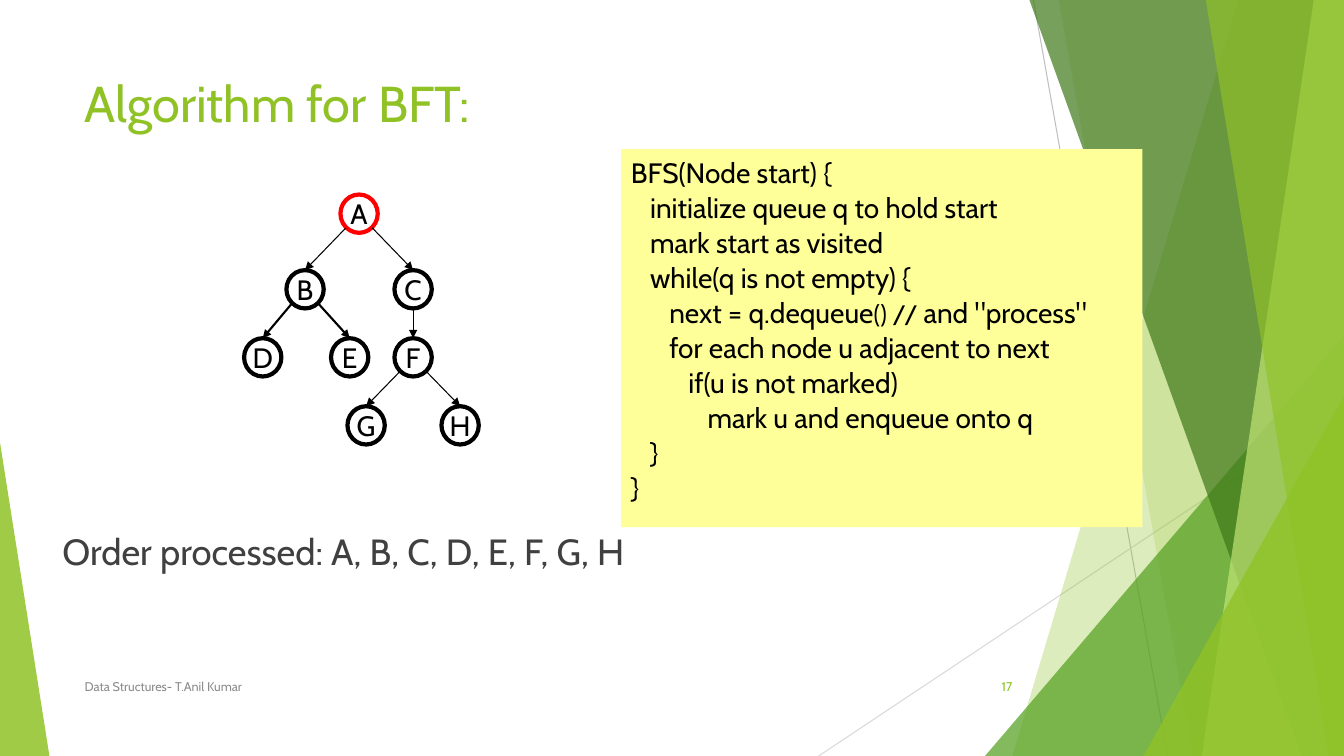
from pptx import Presentation
from pptx import util as u
from pptx.dml.color import RGBColor
from pptx.enum import shapes, text
from pptx.oxml import ns
from lxml import etree

WIDTH, HEIGHT = 13.33, 7.5
FONT = "Cabin"
BLACK = RGBColor(0x00, 0x00, 0x00)
RED = RGBColor(0xFF, 0x00, 0x00)
LIME = RGBColor(0x90, 0xC2, 0x26)
PALE_LIME = RGBColor(0xC0, 0xE4, 0x74)
GREEN = RGBColor(0x54, 0xA0, 0x21)
DARK_GREEN = RGBColor(0x3F, 0x78, 0x19)
YELLOW = RGBColor(0xFF, 0xFF, 0x99)
DARK_GREY = RGBColor(0x40, 0x40, 0x40)
GREY = RGBColor(0x8C, 0x8C, 0x8C)
RULE_GREY = RGBColor(0xBF, 0xBF, 0xBF)
PALE_GREY = RGBColor(0xD9, 0xD9, 0xD9)

# Wings reach the right edge: x at the top, x at the bottom, colour, opacity
BACK_WINGS = [(12.28, 10.04, LIME, 30), (10.5, 11.83, LIME, 20)]
FRONT_WINGS = [(10.21, 12.91, DARK_GREEN, 70), (13.03, 11.92, PALE_LIME, 70),
               (11.96, 13.18, LIME, 65)]

NODE_WIDTH, NODE_HEIGHT = 0.37, 0.38
TREE_ROWS = (0.08, 0.38, 0.65, 0.92)
# Node: share of the tree's width, row
NODES = {"A": (0.49, 0), "B": (0.26, 1), "C": (0.72, 1), "D": (0.08, 2),
         "E": (0.45, 2), "F": (0.72, 2), "G": (0.52, 3), "H": (0.92, 3)}
EDGES = ["AB", "AC", "BD", "BE", "CF", "FG", "FH"]

CODE_INDENT = 0.19
# Code line: depth, runs of (text, size)
CODE = [
    (0, [("BFS(Node start) {", 20)]),
    (1, [("initialize queue q to hold start", 20)]),
    (1, [("mark start as visited", 20)]),
    (1, [("while(q is not empty) {", 20)]),
    (2, [("next = q.dequeue", 20), ("() // ", 18), ('and "process"', 20)]),
    (2, [("for each node u adjacent to next", 20)]),
    (3, [("if(u is not marked)", 20)]),
    (4, [("mark u and enqueue onto q", 20)]),
    (1, [("}", 20)]),
    (0, [("}", 20)]),
]


def inches(*lengths):
    return [u.Inches(length) for length in lengths]


def add_run(paragraph, words, size, color):
    run = paragraph.add_run()
    run.text = words
    run.font.name = FONT
    run.font.size = u.Pt(size)
    run.font.color.rgb = color


def add_label(slide, box, words, size, color,
              anchor=text.MSO_ANCHOR.TOP, align=text.PP_ALIGN.LEFT):
    frame = slide.shapes.add_textbox(*inches(*box)).text_frame
    frame.word_wrap = True
    frame.vertical_anchor = anchor
    paragraph = frame.paragraphs[0]
    paragraph.alignment = align
    add_run(paragraph, words, size, color)


def add_line(slide, start, end, color, width, arrow=False):
    line = slide.shapes.add_connector(
        shapes.MSO_CONNECTOR.STRAIGHT, *inches(*start, *end))
    line.line.color.rgb = color
    line.line.width = u.Pt(width)
    if arrow:
        etree.SubElement(line.line._get_or_add_ln(), ns.qn("a:tailEnd"), type="triangle")
    etree.SubElement(line._element.spPr, ns.qn("a:effectLst"))


def paint(shape, color, opacity=100):
    """Fill without outline or shadow; opacity is in percent."""
    shape.shadow.inherit = False
    shape.line.fill.background()
    shape.fill.solid()
    shape.fill.fore_color.rgb = color
    if opacity < 100:
        rgb = shape._element.spPr.find(".//" + ns.qn("a:srgbClr"))
        etree.SubElement(rgb, ns.qn("a:alpha"), val=str(opacity * 1000))


def add_wing(slide, top_x, bottom_x, color, opacity):
    corners = [(WIDTH, 0), (WIDTH, HEIGHT), (bottom_x, HEIGHT)]
    builder = slide.shapes.build_freeform(*inches(top_x, 0))
    builder.add_line_segments([inches(*corner) for corner in corners], close=True)
    paint(builder.convert_to_shape(), color, opacity)


def add_corner(slide, box, apex, color, opacity):
    """Right-angled triangle; apex is the share of the width at its tip."""
    triangle = slide.shapes.add_shape(
        shapes.MSO_SHAPE.ISOSCELES_TRIANGLE, *inches(*box))
    triangle.adjustments[0] = apex
    paint(triangle, color, opacity)


def add_backdrop(slide):
    add_line(slide, (10.25, 0), (11.58, HEIGHT), RULE_GREY, 0.75)
    add_line(slide, (WIDTH, 4.03), (8.12, HEIGHT), PALE_GREY, 0.75)
    for wing in BACK_WINGS:
        add_wing(slide, *wing)
    add_corner(slide, (9.77, 3.33, 3.56, 4.17), 1, GREEN, 72)
    for wing in FRONT_WINGS:
        add_wing(slide, *wing)
    add_corner(slide, (11.34, 3.93, 1.99, 3.57), 1, LIME, 80)
    add_corner(slide, (0, 4.39, 0.49, 3.11), 0, LIME, 85)


def add_title(slide, box, words):
    title = slide.shapes.title
    title.left, title.top, title.width, title.height = inches(*box)
    frame = title.text_frame
    frame.vertical_anchor = text.MSO_ANCHOR.TOP
    frame.paragraphs[0].alignment = text.PP_ALIGN.LEFT
    add_run(frame.paragraphs[0], words, 36, LIME)


def add_node(slide, name, center_x, center_y):
    node = slide.shapes.add_shape(shapes.MSO_SHAPE.OVAL, *inches(
        center_x - NODE_WIDTH / 2, center_y - NODE_HEIGHT / 2, NODE_WIDTH, NODE_HEIGHT))
    node.shadow.inherit = False
    node.fill.background()
    node.line.color.rgb = RED if name == "A" else BLACK
    node.line.width = u.Pt(3)
    frame = node.text_frame
    frame.word_wrap = False
    frame.vertical_anchor = text.MSO_ANCHOR.MIDDLE
    frame.paragraphs[0].alignment = text.PP_ALIGN.CENTER
    add_run(frame.paragraphs[0], name, 20, BLACK)


def add_tree(slide, box):
    left, top, width, height = box
    centers = {name: (left + share * width, top + TREE_ROWS[row] * height)
               for name, (share, row) in NODES.items()}
    for name, center in centers.items():
        add_node(slide, name, *center)
    for parent, child in EDGES:
        (parent_x, parent_y), (child_x, child_y) = centers[parent], centers[child]
        if parent_x == child_x:
            start = (parent_x, parent_y + NODE_HEIGHT / 2)
        else:  # leave the circle at 45 degrees
            side = 1 if child_x > parent_x else -1
            start = (parent_x + side * 0.13, parent_y + 0.14)
        end = (child_x, child_y - NODE_HEIGHT / 2)
        add_line(slide, start, end, BLACK, 1.5 if parent == "B" else 0.75, arrow=True)


def add_code(slide, box):
    panel = slide.shapes.add_shape(shapes.MSO_SHAPE.RECTANGLE, *inches(*box))
    paint(panel, YELLOW)
    frame = panel.text_frame
    frame.word_wrap = True
    frame.vertical_anchor = text.MSO_ANCHOR.TOP
    frame.margin_left = frame.margin_right = u.Inches(0.1)
    frame.margin_top = frame.margin_bottom = u.Inches(0.1)
    for index, (depth, runs) in enumerate(CODE):
        paragraph = frame.add_paragraph() if index else frame.paragraphs[0]
        paragraph.alignment = text.PP_ALIGN.LEFT
        paragraph.line_spacing = u.Pt(21)
        paragraph.space_before = u.Pt(4)
        paragraph._p.get_or_add_pPr().set("marL", str(u.Inches(depth * CODE_INDENT)))
        for words, size in runs:
            add_run(paragraph, words, size, BLACK)


def add_footer(slide, top, height):
    middle = text.MSO_ANCHOR.MIDDLE
    add_label(slide, (0.74, top, 6.89, height), "Data Structures- T.Anil Kumar",
              9, GREY, middle)
    add_label(slide, (9.39, top, 0.75, height), "17", 9, LIME, middle,
              text.PP_ALIGN.RIGHT)


def main():
    presentation = Presentation()
    presentation.slide_width, presentation.slide_height = inches(WIDTH, HEIGHT)
    slide = presentation.slides.add_slide(presentation.slide_layouts[5])
    add_backdrop(slide)
    add_title(slide, (0.74, 0.67, 9.4, 1.44), "Algorithm for BFT:")
    add_label(slide, (0.52, 5.2, 9.25, 0.89),
              "Order processed: A, B, C, D, E, F, G, H", 26, DARK_GREY)
    add_tree(slide, (2.42, 1.92, 2.33, 2.5))
    add_code(slide, (6.16, 1.48, 5.17, 3.75))
    add_footer(slide, 6.61, 0.4)
    presentation.save("out.pptx")


if __name__ == "__main__":
    main()
